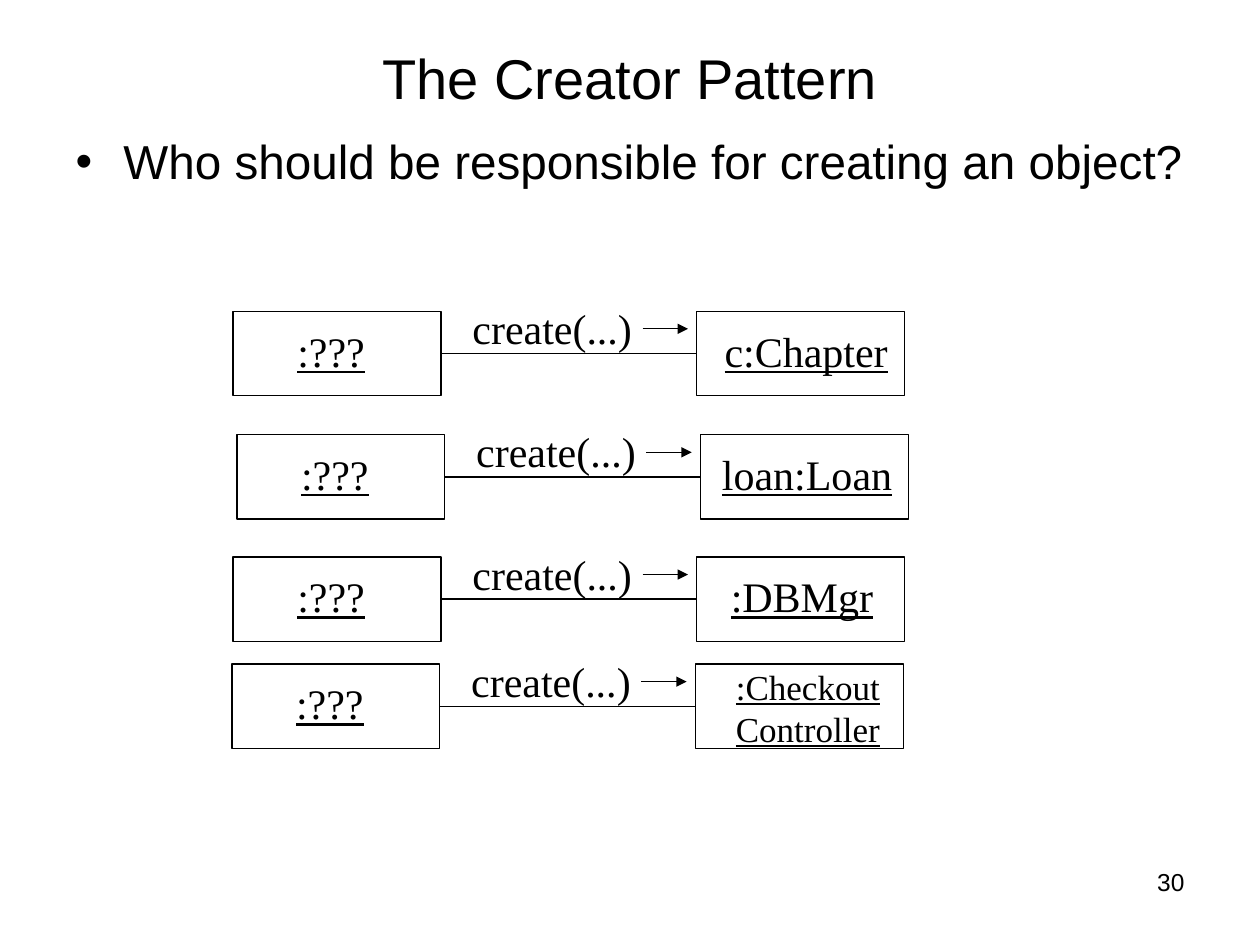
from lxml import etree
from pptx import Presentation
from pptx.dml.color import RGBColor
from pptx.enum.shapes import MSO_CONNECTOR, MSO_SHAPE
from pptx.enum.text import MSO_ANCHOR, MSO_AUTO_SIZE, PP_ALIGN
from pptx.oxml.ns import qn
from pptx.util import Inches, Pt

BLACK = RGBColor(0, 0, 0)
STRAIGHT = MSO_CONNECTOR.STRAIGHT
RECTANGLE = MSO_SHAPE.RECTANGLE
MIDDLE = MSO_ANCHOR.MIDDLE
NO_AUTOFIT = MSO_AUTO_SIZE.NONE
GROW_TO_FIT = MSO_AUTO_SIZE.SHAPE_TO_FIT_TEXT
CENTER, RIGHT = PP_ALIGN.CENTER, PP_ALIGN.RIGHT
RIGHT_SIDE, LEFT_SIDE = 3, 1

BOX_W, BOX_H = 1.65, 0.67
BOX_PITCH = 3.68  # left edge of the creator to left edge of the created object


def add_label(left, top, width, height, lines, size=24, underline=True):
    label = slide.shapes.add_textbox(
        Inches(left), Inches(top), Inches(width), Inches(height))
    frame = label.text_frame
    frame.word_wrap = False
    frame.auto_size = GROW_TO_FIT
    frame.margin_left = frame.margin_right = 0
    frame.margin_top = frame.margin_bottom = 0
    for i, line in enumerate(lines):
        paragraph = frame.paragraphs[0] if i == 0 else frame.add_paragraph()
        run = paragraph.add_run()
        run.text = line
        run.font.name = "Times New Roman"
        run.font.size = Pt(size)
        run.font.underline = underline
        run.font.color.rgb = BLACK


def add_line(x1, x2, y):
    line = slide.shapes.add_connector(
        STRAIGHT, Inches(x1), Inches(y), Inches(x2), Inches(y))
    line.line.color.rgb = BLACK
    line.line.width = Pt(0.75)
    etree.SubElement(line._element.spPr, qn("a:effectLst"))
    return line


prs = Presentation()
prs.slide_width, prs.slide_height = Inches(10), Inches(7.5)
slide = prs.slides.add_slide(prs.slide_layouts[1])

# Title, question and slide number
title = slide.shapes.title
question = slide.placeholders[1]
number = slide.shapes.add_textbox(
    Inches(7.17), Inches(6.83), Inches(2.33), Inches(0.52))
title.left, title.top = Inches(0.5), Inches(0.3)
title.width, title.height = Inches(9), Inches(0.62)
question.left, question.top = Inches(0.5), Inches(1)
question.width, question.height = Inches(9), Inches(0.67)

bullet_props = question.text_frame.paragraphs[0]._p.get_or_add_pPr()
bullet_props.set("marL", str(Inches(0.38)))
bullet_props.set("indent", str(-Inches(0.38)))
etree.SubElement(bullet_props, qn("a:buFont"), typeface="Arial")
etree.SubElement(bullet_props, qn("a:buChar"), char="•")

for holder, text, size, align in (
    (title, "The Creator Pattern", 32, CENTER),
    (question, "Who should be responsible for creating an object?", 27.2, None),
    (number, "30", 14, RIGHT),
):
    holder.text_frame.auto_size = NO_AUTOFIT
    holder.text_frame.word_wrap = True
    paragraph = holder.text_frame.paragraphs[0]
    paragraph.space_before = Pt(0)
    paragraph.alignment = align
    run = paragraph.add_run()
    run.text = text
    run.font.name = "Arial"
    run.font.size = Pt(size)
    run.font.color.rgb = BLACK
title.text_frame.vertical_anchor = MIDDLE

# Rows: left, top, created object's lines, then its label's x, dy, width, height, size
rows = (
    (1.85, 2.47, ["c:Chapter"], 5.75, 0.11, 1.31, 0.4, 24),
    (1.88, 3.45, ["loan:Loan"], 5.73, 0.11, 1.37, 0.4, 24),
    (1.85, 4.42, [":DBMgr"], 5.8, 0.11, 1.14, 0.4, 24),
    (1.84, 5.27, [":Checkout", "Controller"], 5.84, 0.01, 1.16, 0.67, 20),
)
for left, top, created, label_x, label_dy, label_w, label_h, size in rows:
    boxes = []
    for box_left in (left, left + BOX_PITCH):
        box = slide.shapes.add_shape(
            RECTANGLE, Inches(box_left), Inches(top), Inches(BOX_W), Inches(BOX_H))
        box.shadow.inherit = False
        box.fill.background()
        box.line.color.rgb = BLACK
        box.line.width = Pt(0.75)
        boxes.append(box)
    creator_box, created_box = boxes

    link = add_line(left + BOX_W, left + BOX_PITCH, top + BOX_H / 2)
    link.begin_connect(creator_box, RIGHT_SIDE)
    link.end_connect(created_box, LEFT_SIDE)

    add_label(left + 0.51, top + 0.11, 0.54, 0.4, [":???"])
    add_label(label_x, top + label_dy, label_w, label_h, created, size)
    add_label(left + 1.9, top - 0.07, 1.27, 0.4, ["create(...)"], underline=False)

    arrow = add_line(left + 3.25, left + 3.61, top + 0.14)
    etree.SubElement(arrow.line._get_or_add_ln(), qn("a:tailEnd"), type="triangle")

prs.save("out.pptx")
